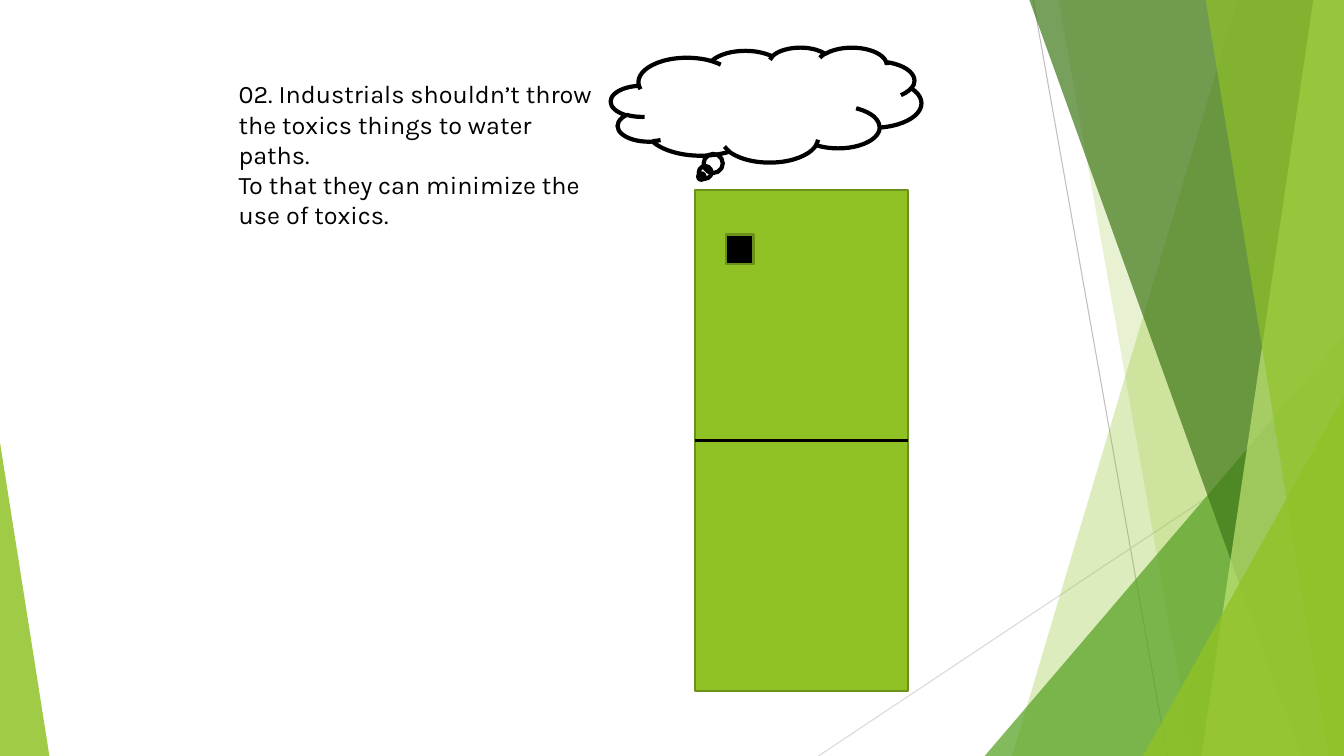
from dataclasses import dataclass
from pptx import Presentation
from pptx.dml.color import RGBColor
from pptx.enum.shapes import MSO_CONNECTOR, MSO_SHAPE
from pptx.enum.text import MSO_AUTO_SIZE, PP_ALIGN
from pptx.oxml.ns import qn
from pptx.oxml.xmlchemy import OxmlElement
from pptx.util import Pt


@dataclass(frozen=True)
class Theme:
    lime: str = "90C226"
    pale_lime: str = "C0E474"
    green: str = "54A021"
    dark_green: str = "3F7819"
    olive: str = "6B901C"
    black: str = "000000"
    grey: str = "BFBFBF"
    pale_grey: str = "D9D9D9"
    font: str = "Karla"
    text_size: int = 18


@dataclass(frozen=True)
class Box:
    left: float
    top: float
    width: float
    height: float

    def lengths(self):
        return [Pt(value) for value in (self.left, self.top, self.width, self.height)]


THEME = Theme()


def set_format(target, values):
    for name, value in values.items():
        setattr(target, name, value)


def paint(shape, fill=None, opacity=100, line=None, width=0):
    shape.shadow.inherit = False
    if fill:
        shape.fill.solid()
        shape.fill.fore_color.rgb = RGBColor.from_string(fill)
        if opacity < 100:
            alpha = OxmlElement("a:alpha")
            alpha.set("val", str(opacity * 1000))
            shape._element.spPr.find(qn("a:solidFill"))[0].append(alpha)
    else:
        shape.fill.background()
    if line:
        shape.line.color.rgb = RGBColor.from_string(line)
        shape.line.width = Pt(width)
    else:
        shape.line.fill.background()


def add_preset(page, kind, box, **look):
    shape = page.shapes.add_shape(kind, *box.lengths())
    paint(shape, **look)
    return shape


def add_line(page, start, end, color, width):
    line = page.shapes.add_connector(
        MSO_CONNECTOR.STRAIGHT, *[Pt(value) for value in (*start, *end)])
    line.line.color.rgb = RGBColor.from_string(color)
    line.line.width = Pt(width)
    line._element.spPr.append(OxmlElement("a:effectLst"))


def add_facet(page, box, top_left, top_right, bottom_right, bottom_left, color, opacity):
    top, bottom = Pt(box.top - 0.6), Pt(box.top + box.height)
    corners = [(Pt(box.left + x), y) for x, y in (
        (top_left, top), (top_right, top), (bottom_right, bottom), (bottom_left, bottom))]
    builder = page.shapes.build_freeform(*corners[0], scale=1.0)
    builder.add_line_segments(corners[1:], close=True)
    paint(builder.convert_to_shape(), color, opacity)


def add_wedge(page, box, left, right, top, apex, color, opacity):
    wedge = add_preset(
        page, MSO_SHAPE.ISOSCELES_TRIANGLE,
        Box(box.left + left, box.top + top, right - left, box.height - top),
        fill=color, opacity=opacity)
    wedge.adjustments[0] = apex


def draw_backdrop(page, box):
    right, bottom = box.width, box.height
    # Thin rays behind the facets
    for start, end, color in (
            ((738, 0), (833.8, bottom), THEME.grey),
            ((right, 290.2), (584.6, bottom), THEME.pale_grey)):
        add_line(page, *[(box.left + x, box.top + y) for x, y in (start, end)], color, 0.75)
    # Overlapping facets, back to front
    for draw, *values in (
            (add_facet, 884.2, right, right, 722.9, THEME.lime, 30),
            (add_facet, 756, right, right, 851.8, THEME.lime, 20),
            (add_wedge, 703.4, right, 239.8, 1, THEME.green, 72),
            (add_facet, 735.1, right, right, 929.5, THEME.dark_green, 70),
            (add_facet, 938.2, right, right, 858.2, THEME.pale_lime, 70),
            (add_facet, 861.1, right, right, 949, THEME.lime, 65),
            (add_wedge, 816.5, right, 283, 1, THEME.lime, 80),
            (add_wedge, 0, 35.3, 316.1, 0, THEME.lime, 85)):
        draw(page, box, *values)


def draw_tower(page, box):
    outline = {"line": THEME.olive, "width": 1.5}
    add_preset(page, MSO_SHAPE.RECTANGLE, box, fill=THEME.lime, **outline)
    # Line across the middle
    middle = box.top + box.height / 2
    add_line(page, (box.left + box.width, middle), (box.left, middle), THEME.black, 2.25)
    # Window
    window = Box(box.left + 22.3, box.top + 31.7, 19.4, 20.9)
    add_preset(page, MSO_SHAPE.RECTANGLE, window, fill=THEME.black, **outline)


def draw_advice(page, box, paragraphs):
    frame = page.shapes.add_textbox(*box.lengths()).text_frame
    set_format(frame, {"word_wrap": True, "auto_size": MSO_AUTO_SIZE.SHAPE_TO_FIT_TEXT})
    for index, text in enumerate(paragraphs):
        para = frame.add_paragraph() if index else frame.paragraphs[0]
        para.alignment = PP_ALIGN.LEFT
        span = para.add_run()
        span.text = text
        set_format(span.font, {"name": THEME.font, "size": Pt(THEME.text_size)})
        span.font.color.rgb = RGBColor.from_string(THEME.black)


def draw_smoke(page, box):
    add_preset(page, MSO_SHAPE.CLOUD_CALLOUT, box, line=THEME.black, width=3)


deck = Presentation()
set_format(deck, {"slide_width": Pt(960), "slide_height": Pt(540)})
page = deck.slides.add_slide(deck.slide_layouts[6])

draw_backdrop(page, Box(0, 0, 960, 540))
draw_tower(page, Box(496.6, 135.8, 152.3, 357.8))
draw_advice(page, Box(163.4, 52.6, 272.9, 116.6), (
    "02. Industrials shouldn’t throw the toxics things to water paths.",
    "To that they can minimize the use of toxics."))
draw_smoke(page, Box(436.3, 33.8, 221.8, 82.1))

deck.save("out.pptx")
